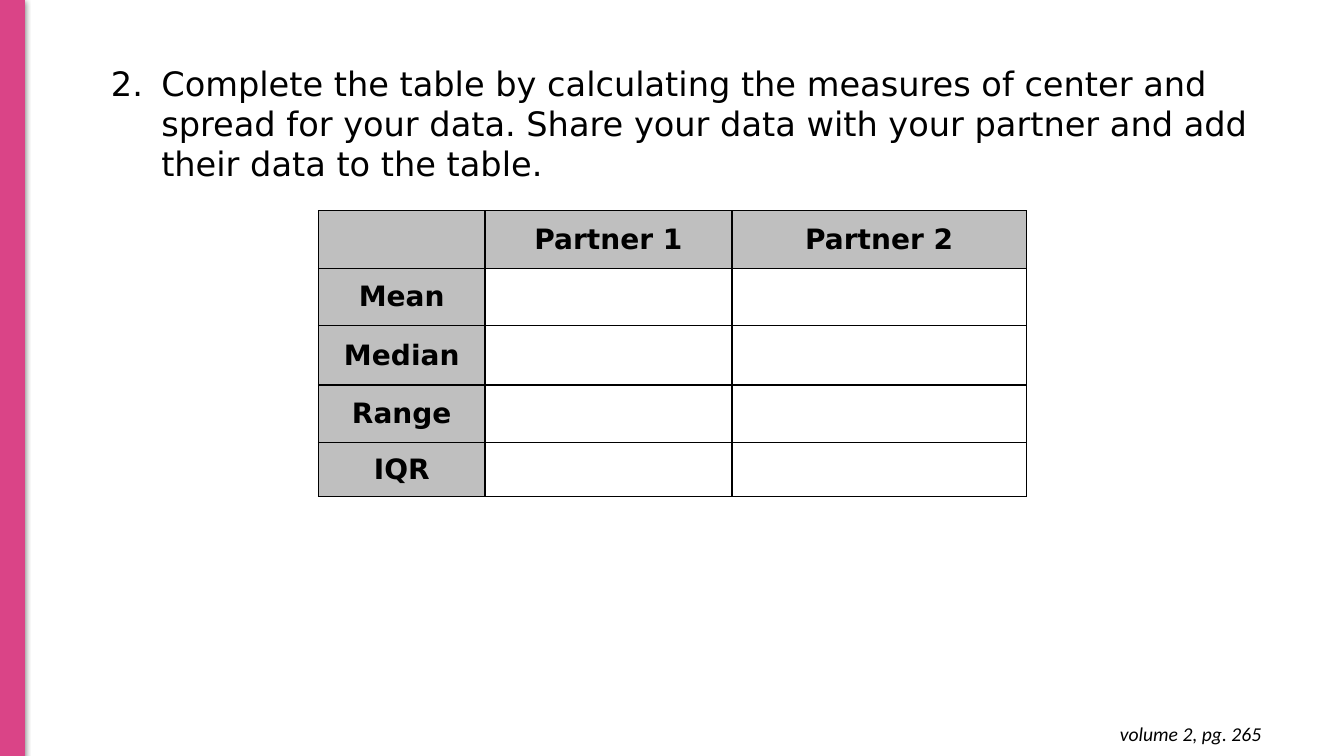
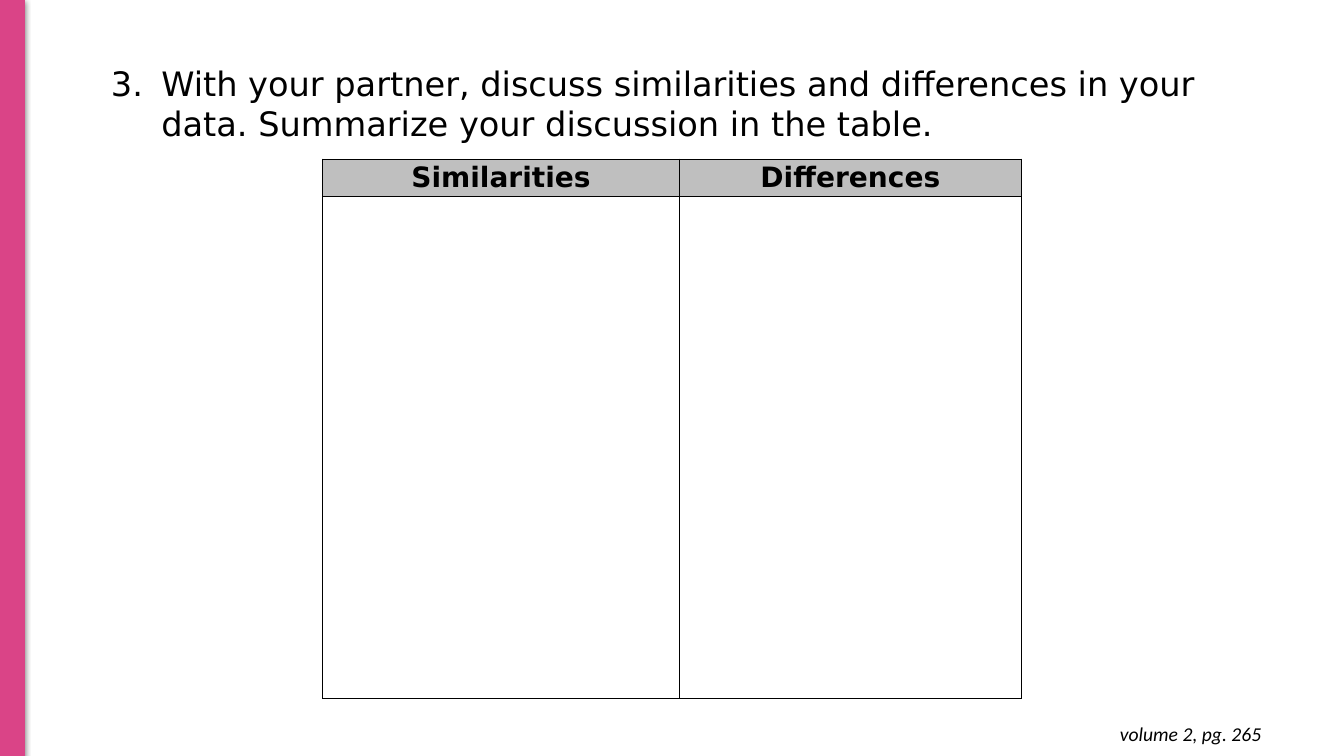
from pptx import Presentation
from pptx.dml.color import RGBColor
from pptx.enum.shapes import MSO_SHAPE
from pptx.enum.text import MSO_ANCHOR, MSO_AUTO_SIZE, PP_ALIGN
from pptx.oxml.ns import qn
from pptx.util import Inches, Pt
from lxml import etree

RECTANGLE = MSO_SHAPE.RECTANGLE
MIDDLE = MSO_ANCHOR.MIDDLE
TOP = MSO_ANCHOR.TOP
NO_AUTOFIT = MSO_AUTO_SIZE.NONE
CENTER = PP_ALIGN.CENTER
RIGHT = PP_ALIGN.RIGHT

BLACK = "000000"
WHITE = "FFFFFF"
PINK = "DA4487"
GRAY = "BFBFBF"
TEXT_FONT = "DejaVu Sans"
FOOTER_FONT = "Calibri"
CONTENT_LAYOUT = 1


def rgb(hex_color):
    return RGBColor.from_string(hex_color)


def add_xml(parent, tag, **attributes):
    child = etree.SubElement(parent, qn(tag))
    for name, value in attributes.items():
        child.set(name, str(value))
    return child


def style_font(font, name, size, bold=False, italic=False):
    font.name, font.size = name, Pt(size)
    font.bold, font.italic = bold, italic
    font.color.rgb = rgb(BLACK)


class Worksheet:
    """Holds the deck, its style and the slide being filled."""

    def __init__(self):
        self.deck = Presentation()
        self.deck.slide_width = Inches(13.33)
        self.deck.slide_height = Inches(7.5)
        self.slide = None

    def new_slide(self, page_reference):
        layout = self.deck.slide_layouts[CONTENT_LAYOUT]
        self.slide = self.deck.slides.add_slide(layout)
        title = self.slide.shapes.title.element
        title.getparent().remove(title)
        self.side_band()
        self.footer(page_reference)

    def side_band(self):
        band = self.slide.shapes.add_shape(
            RECTANGLE, 0, 0, Inches(0.24), self.deck.slide_height)
        band.fill.solid()
        band.fill.fore_color.rgb = rgb(PINK)
        band.line.color.rgb = rgb(PINK)
        band.line.width = Pt(0.75)
        band.shadow.inherit = False
        effects = band.element.spPr.find(qn("a:effectLst"))
        shadow = add_xml(effects, "a:outerShdw", blurRad=Pt(4.5), dist=Pt(1.5),
                         dir=90 * 60000, rotWithShape=0)
        shade = add_xml(shadow, "a:srgbClr", val=BLACK)
        add_xml(shade, "a:alpha", val=50000)

    def footer(self, text):
        footer = self.slide.shapes.add_textbox(
            Inches(9.73), Inches(7.06), Inches(2.88), Inches(0.44))
        frame = footer.text_frame
        frame.word_wrap = True
        frame.margin_top = frame.margin_bottom = Inches(0.1)
        frame.text = text
        paragraph = frame.paragraphs[0]
        paragraph.alignment = RIGHT
        style_font(paragraph.runs[0].font, FOOTER_FONT, 14, italic=True)

    def question(self, number, text):
        body = self.slide.placeholders[1]
        body.left, body.top = Inches(1), Inches(0.57)
        body.width, body.height = Inches(11.5), Inches(1.31)
        frame = body.text_frame
        frame.auto_size = NO_AUTOFIT
        frame.vertical_anchor = TOP
        frame.text = text
        paragraph = frame.paragraphs[0]
        properties = paragraph._p.get_or_add_pPr()
        properties.set("marL", str(Inches(0.5)))
        properties.set("indent", str(-Inches(0.5)))
        add_xml(add_xml(properties, "a:buClr"), "a:srgbClr", val=BLACK)
        add_xml(properties, "a:buFont", typeface=TEXT_FONT)
        add_xml(properties, "a:buAutoNum", type="arabicPeriod", startAt=number)
        paragraph.space_before = Pt(0)
        style_font(paragraph.runs[0].font, TEXT_FONT, 24)

    def answer_table(self, left, top, widths, heights, headings, labels=()):
        """Draw a blank answer grid with gray headings and optional row labels."""
        table = self.slide.shapes.add_table(
            len(heights), len(widths), Inches(left), Inches(top),
            Inches(sum(widths)), Inches(sum(heights))).table
        table.first_row = table.horz_banding = False
        for column, width in zip(table.columns, widths):
            column.width = Inches(width)
        for row, height in zip(table.rows, heights):
            row.height = Inches(height)
        for cell in table.iter_cells():
            self.format_cell(cell, WHITE)
        for column, heading in enumerate(headings):
            self.heading_cell(table.cell(0, column), heading)
        for row, label in enumerate(labels, start=1):
            self.heading_cell(table.cell(row, 0), label)

    def format_cell(self, cell, fill):
        cell.margin_left = cell.margin_right = Inches(0.07)
        cell.margin_top = cell.margin_bottom = 0
        cell.vertical_anchor = MIDDLE
        properties = cell._tc.get_or_add_tcPr()
        for side in ("a:lnL", "a:lnR", "a:lnT", "a:lnB"):
            border = add_xml(properties, side, w=Pt(1))
            add_xml(add_xml(border, "a:solidFill"), "a:srgbClr", val=BLACK)
        cell.fill.solid()
        cell.fill.fore_color.rgb = rgb(fill)

    def heading_cell(self, cell, text):
        cell.fill.fore_color.rgb = rgb(GRAY)
        if text:
            cell.text_frame.text = text
            paragraph = cell.text_frame.paragraphs[0]
            paragraph.alignment = CENTER
            style_font(paragraph.runs[0].font, TEXT_FONT, 20, bold=True)


def main():
    sheet = Worksheet()
    page_reference = "volume 2, pg. 265"

    sheet.new_slide(page_reference)
    sheet.question(2, "Complete the table by calculating the measures of center "
                      "and spread for your data. Share your data with your "
                      "partner and add their data to the table.")
    sheet.answer_table(3.16, 2.09, [1.65, 2.45, 2.92],
                       [0.57, 0.57, 0.59, 0.57, 0.54],
                       ["", "Partner 1", "Partner 2"],
                       ["Mean", "Median", "Range", "IQR"])

    sheet.new_slide(page_reference)
    sheet.question(3, "With your partner, discuss similarities and differences "
                      "in your data. Summarize your discussion in the table.")
    sheet.answer_table(3.2, 1.58, [3.54, 3.39], [0.37, 4.98],
                       ["Similarities", "Differences"])

    sheet.deck.save("out.pptx")


if __name__ == "__main__":
    main()
